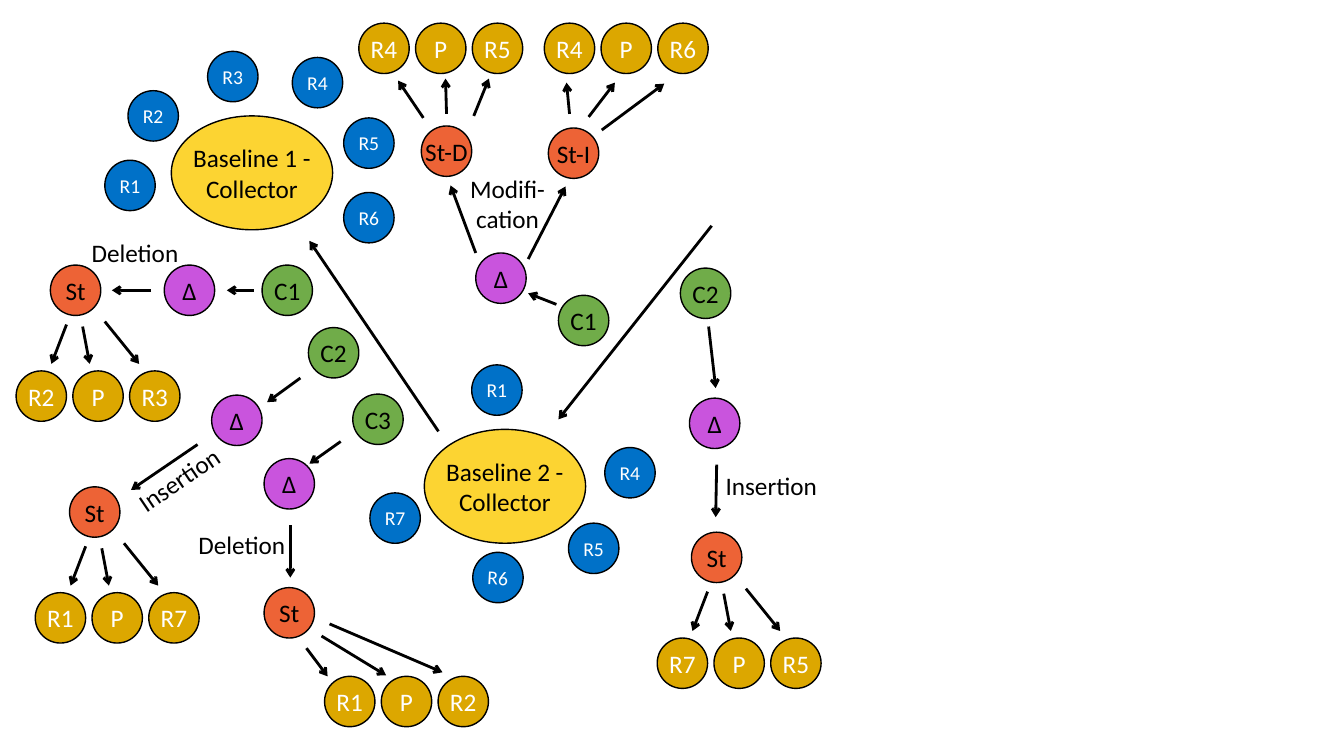
from lxml.etree import SubElement
from pptx import Presentation
from pptx.dml.color import RGBColor
from pptx.enum.shapes import MSO_CONNECTOR, MSO_SHAPE
from pptx.enum.text import MSO_ANCHOR, MSO_AUTO_SIZE, PP_ALIGN
from pptx.oxml.ns import qn
from pptx.util import Inches, Pt

COLORS = {
    "collector": "FCD432",
    "record": "0071C8",
    "change": "70AC49",
    "delta": "C954DD",
    "statement": "EA4813",
    "result": "DCA700",
    "black": "000000",
    "white": "FFFFFF",
}
SLIDE_COLUMNS, SLIDE_ROWS = 133.33, 75
NODE = 5
RESULT_PITCH = 5.63


class GraphSlide:
    font_name = "Calibri"
    cell = Inches(0.1)

    def __init__(self, presentation):
        presentation.slide_width = self.length(SLIDE_COLUMNS)
        presentation.slide_height = self.length(SLIDE_ROWS)
        self.slide = presentation.slides.add_slide(presentation.slide_layouts[6])

    def length(self, cells):
        return round(cells * self.cell)

    def color(self, name):
        return RGBColor.from_string(COLORS[name])

    def set_text(self, shape, text, size, color, alignment):
        text_frame = shape.text_frame
        text_frame.text = text
        text_frame.word_wrap = False
        for paragraph in text_frame.paragraphs:
            paragraph.alignment = alignment
            for run in paragraph.runs:
                run.font.name = self.font_name
                run.font.size = Pt(size)
                run.font.color.rgb = self.color(color)

    def ellipse(self, kind, text, column, row, width=NODE, height=NODE, size=18):
        box = [self.length(cells) for cells in (column, row, width, height)]
        shape = self.slide.shapes.add_shape(MSO_SHAPE.OVAL, *box)
        shape.shadow.inherit = False
        shape.fill.solid()
        shape.fill.fore_color.rgb = self.color(kind)
        shape.line.color.rgb = self.color("black")
        shape.line.width = Pt(1)
        color = "white" if kind in ("record", "result") else "black"
        self.set_text(shape, text, size, color, PP_ALIGN.CENTER)
        shape.text_frame.vertical_anchor = MSO_ANCHOR.MIDDLE
        return shape

    def collector(self, text, column, row):
        self.ellipse("collector", text, column, row, 16, 11.3)

    def record(self, text, column, row, rotation=0):
        self.ellipse("record", text, column, row, size=14).rotation = rotation

    def statement(self, text, column, row):
        shape = self.ellipse("statement", text, column, row)
        solid_fill = shape._element.spPr.find(qn("a:solidFill"))
        SubElement(solid_fill.find(qn("a:srgbClr")), qn("a:alpha")).set("val", "85000")

    def results(self, names, column, row):
        for index, name in enumerate(names):
            self.ellipse("result", name, column + index * RESULT_PITCH, row)

    def arrow(self, *ends):
        connector = self.slide.shapes.add_connector(
            MSO_CONNECTOR.STRAIGHT, *[self.length(cells) for cells in ends])
        connector.line.color.rgb = self.color("black")
        connector.line.width = Pt(2)
        properties = connector._element.spPr
        SubElement(properties.find(qn("a:ln")), qn("a:tailEnd")).set("type", "arrow")
        SubElement(properties, qn("a:effectLst"))

    def label(self, text, column, row, width, height=4, rotation=0,
              alignment=PP_ALIGN.LEFT):
        box = [self.length(cells) for cells in (column, row, width, height)]
        shape = self.slide.shapes.add_textbox(*box)
        self.set_text(shape, text, 18, "black", alignment)
        shape.text_frame.auto_size = MSO_AUTO_SIZE.SHAPE_TO_FIT_TEXT
        shape.rotation = rotation

    def statement_tree(self, names, column, row):
        self.statement("St", column, row)
        self.results(names, column - 3.4, row + 10.5)
        for start_x, start_y, end_x in ((1.6, 5.9, 0.1), (3.2, 6.1, 3.9), (5.4, 5.6, 8.8)):
            self.arrow(column + start_x, row + start_y, column + end_x, row + 9.8)


COLLECTORS = (
    ("Baseline 2 -\nCollector", 42.1, 42.6),
    ("Baseline 1 -\nCollector", 17, 11.5),
)
RECORDS = (
    ("R1", 10.4, 15.9), ("R2", 12.7, 9), ("R3", 20.6, 5.1),
    ("R4", 29, 5.7), ("R5", 34.1, 11.7), ("R6", 34.1, 19.1),
    ("R1", 46.8, 36.2), ("R4", 60, 44.4), ("R5", 56.4, 51.9),
    ("R6", 46.9, 54.8, 2.7), ("R7", 36.7, 48.9),
)
CHANGES = (
    ("C1", 26, 26.3), ("C2", 30.6, 32.5), ("C3", 35, 39.1),
    ("C2", 67.5, 26.6), ("C1", 55.4, 29.3),
)
DELTAS = ((16.3, 26.3), (21, 39.2), (26.2, 45.5), (68.4, 39.5), (47.2, 25.1))
STATEMENT_TREES = (
    (("R2", "P", "R3"), 5, 26.3),
    (("R1", "P", "R7"), 6.9, 48.3),
    (("R7", "P", "R5"), 68.6, 52.8),
)
STATEMENTS = (("St", 26.2, 58.3), ("St-D", 41.8, 12.5), ("St-I", 54.4, 12.7))
RESULTS = (
    (("R1", "P", "R2"), 32.2, 67.1),
    (("R4", "P", "R5"), 35.6, 2.3),
    (("R4", "P", "R6"), 54, 2.3),
)
ARROWS = (
    (70.6, 22.4, 55.4, 41.6), (43.5, 42.8, 30.7, 23.9),
    (25.2, 28.8, 22.5, 28.8), (15, 28.8, 11.1, 28.8),
    (29.8, 37.5, 26.5, 39.9), (19.6, 44.1, 13, 48.6),
    (33.8, 43.8, 30.7, 46), (28.8, 52.1, 28.8, 57.3),
    (32.7, 61.9, 43.9, 66.7), (31.9, 63.1, 38.3, 67), (30.4, 64.3, 32.5, 67.1),
    (70.3, 32.4, 71, 38.5), (71.1, 46.1, 71, 51.3),
    (55.2, 30.2, 52.4, 29.1), (47.2, 25.1, 44.7, 18.4), (52.4, 25.7, 56.1, 18.5),
    (42, 11.7, 39.5, 8), (44.3, 11.3, 44.2, 7.8), (47, 11.5, 48.5, 7.8),
    (56.5, 11.3, 56.2, 8.2), (58.4, 11.6, 61, 8.2), (59.7, 12.9, 65.9, 8.3),
)
LABELS = (
    ("Deletion", 8.1, 23.1, 10.8),
    ("Insertion", 12.2, 45.5, 11.2, 4, 326),
    ("Deletion", 18.7, 52, 10.8),
    ("Insertion", 71, 46.2, 11.2),
    ("Modifi-\ncation", 45.5, 16.7, 9.7, 7.1, 0, PP_ALIGN.CENTER),
)


def main():
    presentation = Presentation()
    graph = GraphSlide(presentation)
    for collector in COLLECTORS:
        graph.collector(*collector)
    for record in RECORDS:
        graph.record(*record)
    for change in CHANGES:
        graph.ellipse("change", *change)
    for delta in DELTAS:
        graph.ellipse("delta", "∆", *delta)
    for tree in STATEMENT_TREES:
        graph.statement_tree(*tree)
    for statement in STATEMENTS:
        graph.statement(*statement)
    for result_row in RESULTS:
        graph.results(*result_row)
    for arrow in ARROWS:
        graph.arrow(*arrow)
    for label in LABELS:
        graph.label(*label)
    presentation.save("out.pptx")


if __name__ == "__main__":
    main()
